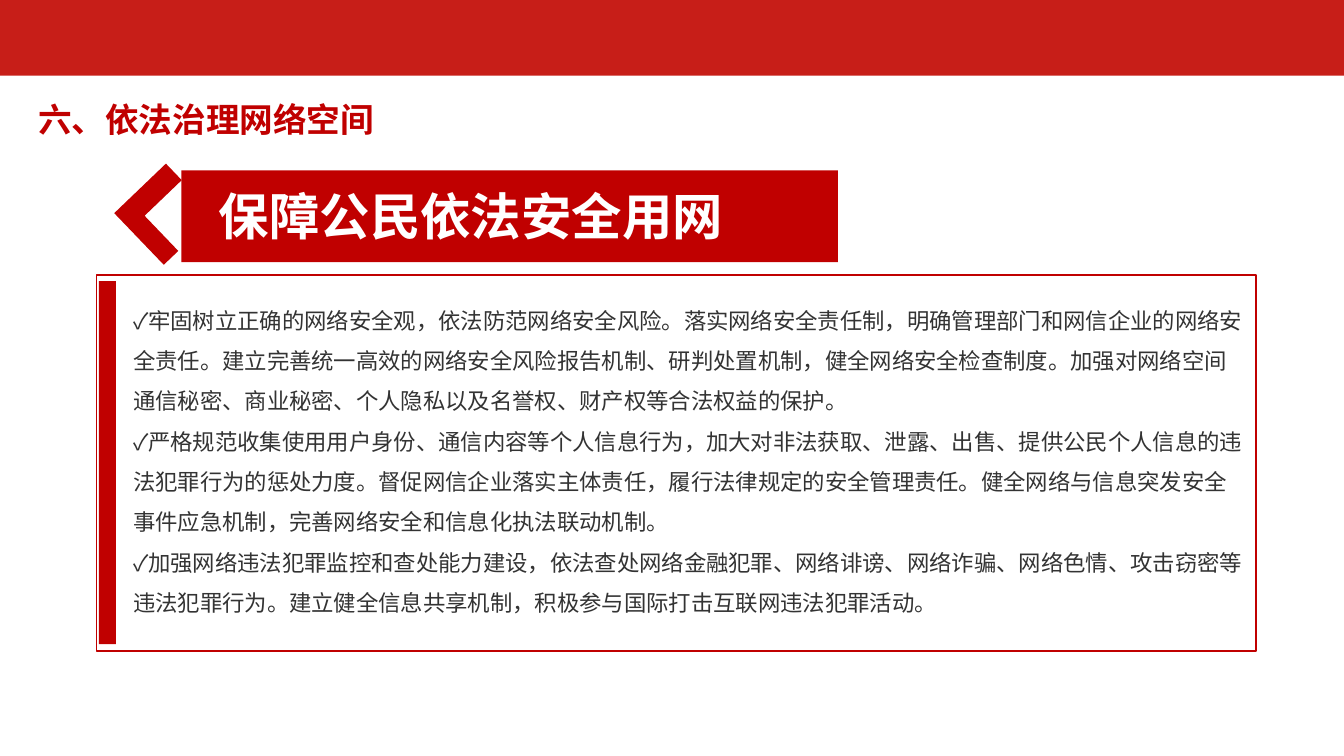
"""Build the slide on protecting citizens' safe and lawful use of the network."""
from lxml import etree
from pptx import Presentation
from pptx.dml.color import RGBColor
from pptx.enum import shapes, text
from pptx.oxml import ns
from pptx.util import Inches, Pt

BAND_RED = RGBColor(0xC7, 0x1E, 0x18)
RED = RGBColor(0xC0, 0x00, 0x00)
WHITE = RGBColor(0xFF, 0xFF, 0xFF)
DARK = RGBColor(0x33, 0x33, 0x33)
FONT = "Noto Sans CJK SC"
MEASURES = [
    "牢固树立正确的网络安全观，依法防范网络安全风险。落实网络安全责任制，明确管理部门和网信企业的网络安全责任。建立完善统一高效的网络安全风险报告机制、研判处置机制，健全网络安全检查制度。加强对网络空间通信秘密、商业秘密、个人隐私以及名誉权、财产权等合法权益的保护。",
    "严格规范收集使用用户身份、通信内容等个人信息行为，加大对非法获取、泄露、出售、提供公民个人信息的违法犯罪行为的惩处力度。督促网信企业落实主体责任，履行法律规定的安全管理责任。健全网络与信息突发安全事件应急机制，完善网络安全和信息化执法联动机制。",
    "加强网络违法犯罪监控和查处能力建设，依法查处网络金融犯罪、网络诽谤、网络诈骗、网络色情、攻击窃密等违法犯罪行为。建立健全信息共享机制，积极参与国际打击互联网违法犯罪活动。",
]


def add_block(preset, left, top, width, height, fill=None):
    block = slide.shapes.add_shape(preset, Inches(left), Inches(top), Inches(width), Inches(height))
    block.shadow.inherit = False
    if fill is None:
        block.fill.background()
        block.line.color.rgb = RED
        block.line.width = Pt(1)
    else:
        block.fill.solid()
        block.fill.fore_color.rgb = fill
        block.line.fill.background()
    return block


def style_text(holder, box, size, color, bold, spacing, wrap=True):
    holder.left, holder.top, holder.width, holder.height = map(Inches, box)
    frame = holder.text_frame
    frame.word_wrap = wrap
    frame.auto_size = text.MSO_AUTO_SIZE.NONE
    frame.vertical_anchor = text.MSO_ANCHOR.TOP
    for paragraph in frame.paragraphs:
        paragraph.alignment = text.PP_ALIGN.LEFT
        paragraph.line_spacing = Pt(spacing)
        paragraph.space_before = Pt(0)
        for run in paragraph.runs:
            run.font.name = FONT
            run.font.size = Pt(size)
            run.font.bold = bold
            run.font.color.rgb = color
            east_asian = etree.SubElement(run.font._element, ns.qn("a:ea"))
            east_asian.set("typeface", FONT)


prs = Presentation()
prs.slide_width = Inches(13.33)
prs.slide_height = Inches(7.5)
slide = prs.slides.add_slide(prs.slide_layouts[1])
title = slide.shapes.title
measures = slide.placeholders[1]
RECT = shapes.MSO_SHAPE.RECTANGLE

add_block(RECT, 0, 0, 13.33, 0.75, BAND_RED)
chapter = slide.shapes.add_textbox(0, 0, 0, 0)
chapter.text_frame.text = "六、依法治理网络空间"
style_text(chapter, (0.28, 0.83, 3.57, 0.56), 24, RED, True, 36, wrap=False)

add_block(RECT, 1.8, 1.69, 6.51, 0.91, RED)
chevron = add_block(shapes.MSO_SHAPE.CORNER, 1.28, 1.77, 0.71, 0.71, RED)
chevron.rotation = 46.2
chevron.adjustments[0] = 0.28
chevron.adjustments[1] = 0.32

slide.shapes.element.append(title.element)
title.text_frame.text = "保障公民依法安全用网"
style_text(title, (2.07, 1.82, 5.34, 0.91), 36, WHITE, True, 41)

slide.shapes.element.append(measures.element)
measures.text_frame.text = "\n".join(MEASURES)
for paragraph in measures.text_frame.paragraphs:
    properties = paragraph._p.get_or_add_pPr()
    properties.set("marL", "0")
    properties.set("indent", "0")
    etree.SubElement(properties, ns.qn("a:buFont")).set("typeface", FONT)
    etree.SubElement(properties, ns.qn("a:buChar")).set("char", "✓")
style_text(measures, (1.22, 2.86, 11.26, 3.6), 16, DARK, False, 28.8)

add_block(RECT, 0.96, 2.73, 11.5, 3.73)
add_block(RECT, 0.98, 2.79, 0.17, 3.6, RED)

prs.save("out.pptx")
